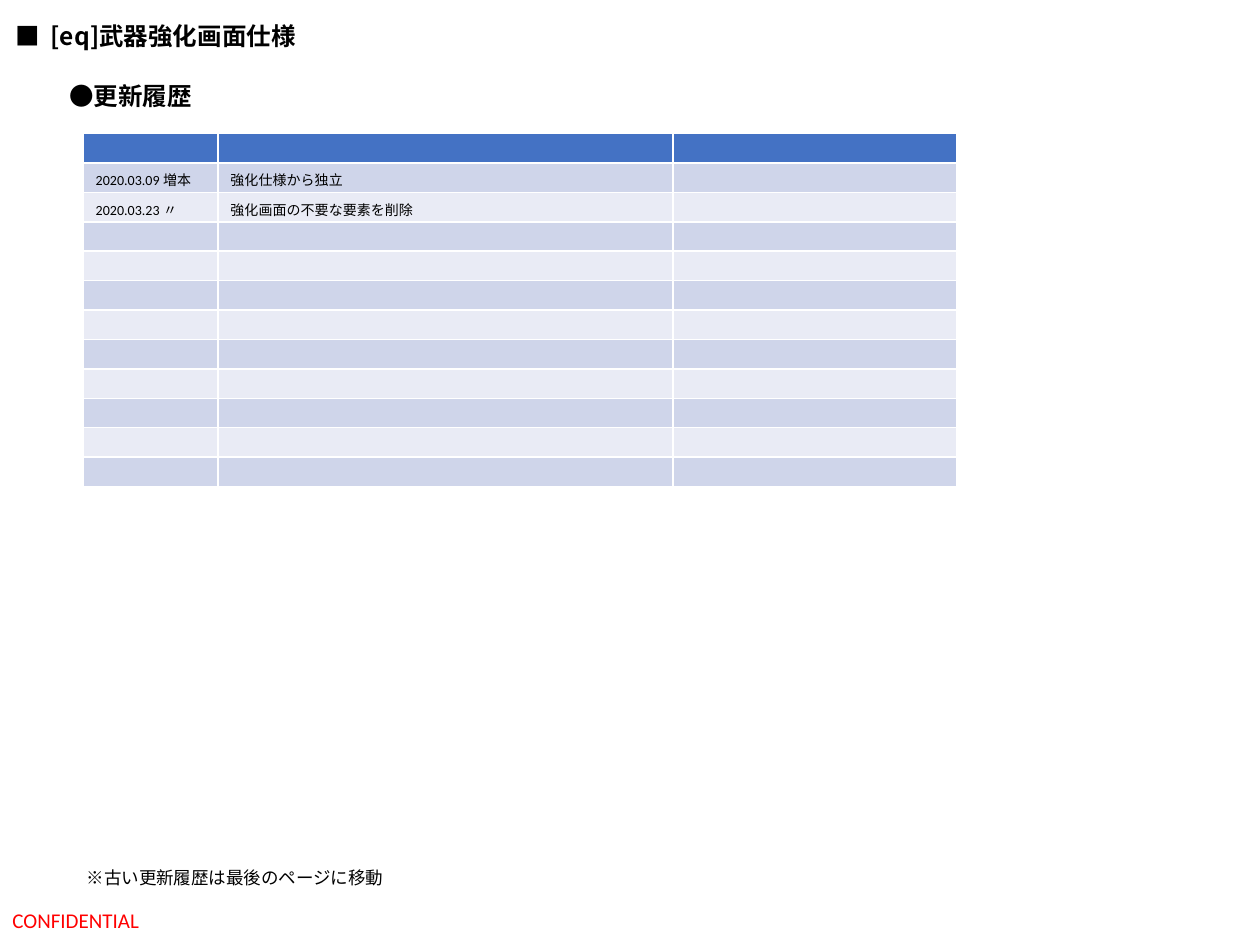
from pptx import Presentation
from pptx.dml.color import RGBColor
from pptx.enum.text import MSO_ANCHOR as Anchor, MSO_AUTO_SIZE as Fit, PP_ALIGN as Align
from pptx.oxml.ns import qn
from pptx.util import Pt
from lxml.etree import SubElement

LATIN, CJK = "Calibri", "Noto Sans CJK JP"
BLACK, RED = "000000", "FF0000"
HEAD, BANDS = "4472C4", ("CFD5EA", "E9EBF5")

TITLE = "■  [eq]武器強化画面仕様"
# text, (left, top, width, height), format, anchor, wrap
NOTES = [
    ("CONFIDENTIAL", (0, 511.2, 243.4, 28.8),
     dict(size=12, color=RED), Anchor.MIDDLE, True),
    ("●更新履歴", (32.4, 42.5, 85, 24.5),
     dict(size=14, bold=True), Anchor.TOP, False),
    ("※古い更新履歴は最後のページに移動", (42.5, 491.8, 186.5, 19.4),
     dict(size=10), Anchor.TOP, False),
]
LOG = [
    ("2020.03.09 増本", "強化仕様から独立"),
    ("2020.03.23 〃", "強化画面の不要な要素を削除"),
]
COLS = (77, 260, 162)
ROWS, ROW_H = 12, 16.8
LEFT, TOP = 47.5, 76.3


def rgb(code):
    return RGBColor.from_string(code)


def write(frame, text, size, color=BLACK, bold=False, name=LATIN):
    par = frame.paragraphs[0]
    par.alignment = Align.LEFT
    run = par.add_run()
    run.text = text
    for key, val in dict(size=Pt(size), bold=bold, name=name).items():
        setattr(run.font, key, val)
    run.font.color.rgb = rgb(color)
    SubElement(run.font._element, qn("a:ea"), typeface=CJK)


def set_box(shape, box, anchor, wrap):
    for key, val in zip(("left", "top", "width", "height"), box):
        setattr(shape, key, Pt(val))
    frame = shape.text_frame
    frame.word_wrap = wrap
    frame.auto_size = Fit.NONE if wrap else Fit.SHAPE_TO_FIT_TEXT
    frame.vertical_anchor = anchor
    return frame


def add_log(slide):
    table = slide.shapes.add_table(
        ROWS, len(COLS), Pt(LEFT), Pt(TOP), Pt(sum(COLS)), Pt(ROWS * ROW_H)).table
    for col, width in zip(table.columns, COLS):
        col.width = Pt(width)
    for r, row in enumerate(table.rows):
        row.height = Pt(ROW_H)
        texts = LOG[r - 1] if 0 < r <= len(LOG) else ()
        for c, cell in enumerate(row.cells):
            cell.fill.solid()
            cell.fill.fore_color.rgb = rgb(BANDS[(r - 1) % 2] if r else HEAD)
            if c < len(texts):
                write(cell.text_frame, texts[c], 8)
            else:
                # An empty cell takes its row height from the end mark.
                par = cell.text_frame.paragraphs[0]
                SubElement(par._p, qn("a:endParaRPr"), sz="800")


def main():
    deck = Presentation()
    deck.slide_width, deck.slide_height = Pt(720), Pt(540)
    slide = deck.slides.add_slide(deck.slide_layouts[5])
    frame = set_box(slide.shapes.title, (1.4, 8.6, 178.6, 24.5), Anchor.TOP, False)
    write(frame, TITLE, 14, bold=True, name=CJK)
    for text, box, look, anchor, wrap in NOTES:
        shape = slide.shapes.add_textbox(0, 0, 0, 0)
        write(set_box(shape, box, anchor, wrap), text, **look)
    add_log(slide)
    deck.save("out.pptx")


if __name__ == "__main__":
    main()
